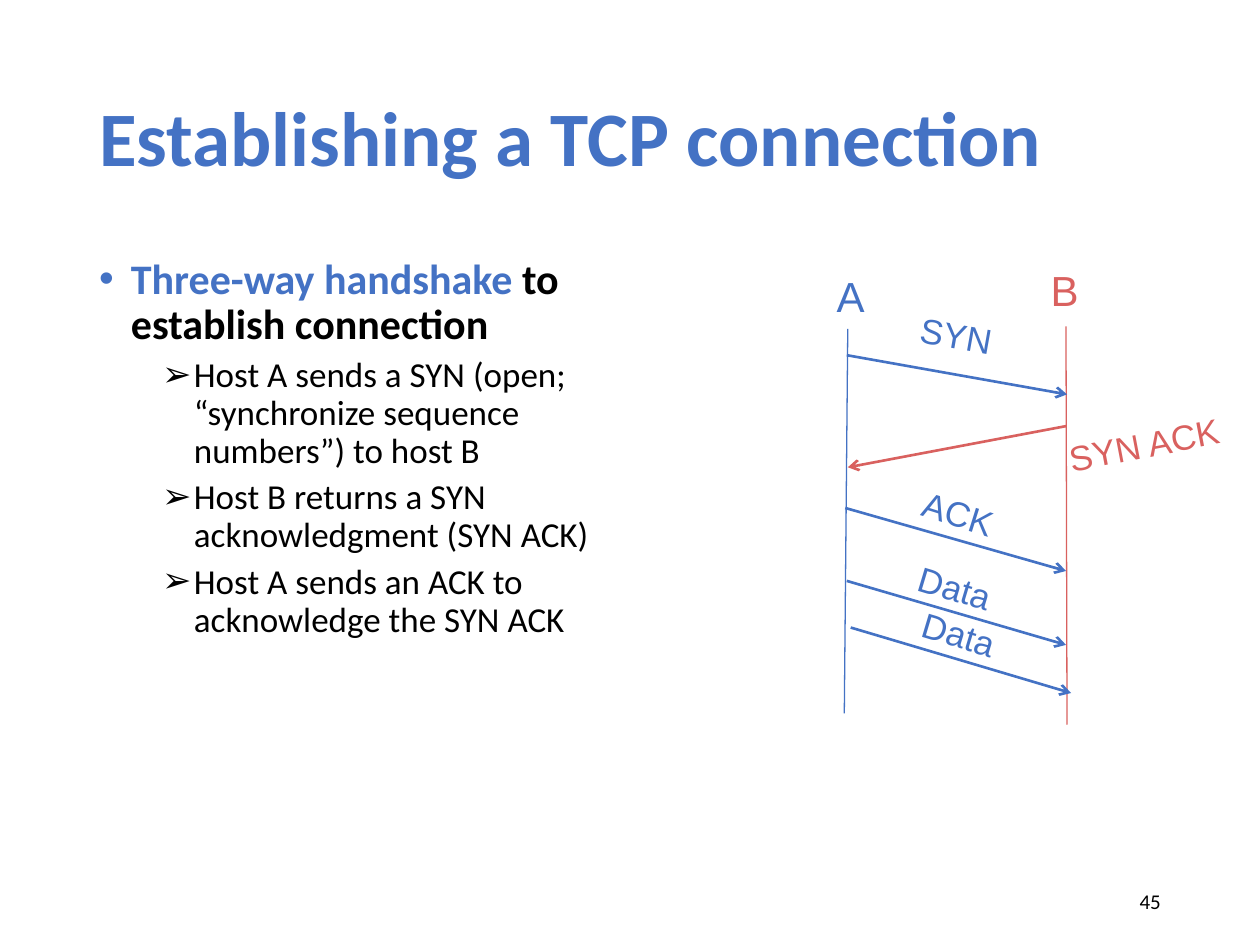
from dataclasses import dataclass

from lxml.etree import SubElement
from pptx import Presentation
from pptx.dml.color import RGBColor
from pptx.enum.shapes import MSO_CONNECTOR
from pptx.enum.text import MSO_ANCHOR, MSO_AUTO_SIZE, PP_ALIGN
from pptx.oxml.ns import qn
from pptx.util import Cm, Pt


@dataclass(frozen=True)
class Theme:
    blue: RGBColor = RGBColor(0x44, 0x72, 0xC4)
    red: RGBColor = RGBColor(0xD9, 0x61, 0x5F)
    black: RGBColor = RGBColor(0, 0, 0)
    body_font: str = "Calibri"
    diagram_font: str = "Arial"
    title_size: int = 44
    lead_size: int = 24
    step_size: int = 20
    host_size: int = 24
    message_size: int = 20
    number_size: int = 12


theme = Theme()


def add_run(paragraph, text, font, size, color, bold=False):
    run = paragraph.add_run()
    run.text = text
    run.font.name = font
    run.font.size = Pt(size)
    run.font.bold = bold
    run.font.color.rgb = color


def add_line(start, end, color, width, arrow=False):
    line = slide.shapes.add_connector(
        MSO_CONNECTOR.STRAIGHT, *(Cm(value) for value in start + end))
    line.line.color.rgb = color
    line.line.width = Pt(width)
    if arrow:
        SubElement(line.line._get_or_add_ln(), qn("a:tailEnd"), type="arrow")
    SubElement(line._element.spPr, qn("a:effectLst"))


presentation = Presentation()
presentation.slide_width = Cm(25.4)
presentation.slide_height = Cm(19.05)
slide = presentation.slides.add_slide(presentation.slide_layouts[5])

# Title
title = slide.shapes.title
title.left, title.top, title.width, title.height = Cm(1.75), Cm(1.02), Cm(21.9), Cm(3.68)
title.text_frame.auto_size = MSO_AUTO_SIZE.NONE
title.text_frame.vertical_anchor = MSO_ANCHOR.MIDDLE
heading = title.text_frame.paragraphs[0]
heading.alignment = PP_ALIGN.LEFT
heading.line_spacing = 0.9
add_run(heading, "Establishing a TCP connection", theme.body_font,
        theme.title_size, theme.blue, bold=True)

# Handshake steps: level, bullet, indent in cm, runs
steps = [
    "Host A sends a SYN (open; “synchronize sequence numbers”) to host B",
    "Host B returns a SYN acknowledgment (SYN ACK)",
    "Host A sends an ACK to acknowledge the SYN ACK",
]
outline = [(0, "•", 0.64, [
    ("Three-way handshake", theme.lead_size, theme.blue, True),
    (" to establish connection", theme.lead_size, theme.black, True)])]
outline += [(1, "➢", 1.91, [(step, theme.step_size, theme.black, False)])
            for step in steps]

explanation = slide.shapes.add_textbox(Cm(1.75), Cm(5.08), Cm(10.8), Cm(12.09)).text_frame
explanation.word_wrap = True
for index, (level, bullet, indent, runs) in enumerate(outline):
    point = explanation.paragraphs[0] if index == 0 else explanation.add_paragraph()
    properties = point._p.get_or_add_pPr()
    properties.set("marL", str(Cm(indent)))
    properties.set("indent", str(-Cm(0.64)))
    SubElement(properties, qn("a:buFont"), typeface=theme.diagram_font)
    SubElement(properties, qn("a:buChar"), char=bullet)
    point.level = level
    point.line_spacing = 0.9
    point.space_before = Pt(5 if index else 0)
    for text, size, color, bold in runs:
        add_run(point, text, theme.body_font, size, color, bold)

# Host timelines
add_line((17.09, 6.63), (17.02, 14.38), theme.blue, 0.75)
add_line((21.49, 6.58), (21.51, 14.61), theme.red, 0.75)

# Messages: text, arrow start, arrow end, label centre, label angle, colour
messages = [
    ("SYN", (17.07, 7.16), (21.51, 7.95), (19.28, 6.76), 10.1, theme.blue),
    ("SYN ACK", (21.49, 8.59), (17.09, 9.42), (23.06, 8.95), -10.9, theme.red),
    ("ACK", (17.04, 10.24), (21.49, 11.51), (19.32, 10.35), 17.4, theme.blue),
    ("Data", (17.07, 11.71), (21.49, 13), (19.25, 11.84), 16.7, theme.blue),
    ("Data", (17.15, 12.65), (21.59, 13.97), (19.33, 12.78), 16.7, theme.blue),
]
for text, start, end, centre, angle, color in messages:
    add_line(start, end, color, 1.5, arrow=True)

# Host and message labels, placed by their centres
labels = [("A", (17.15, 5.97), 0, theme.blue, theme.host_size),
          ("B", (21.46, 5.84), 0, theme.red, theme.host_size)]
labels += [(text, centre, angle, color, theme.message_size)
           for text, start, end, centre, angle, color in messages]
for text, (x, y), angle, color, size in labels:
    width = {"A": 1.1, "B": 1.1, "SYN ACK": 3.63}.get(text, 2)
    height = 1.27 if size == theme.host_size else 1.1
    label = slide.shapes.add_textbox(
        Cm(x - width / 2), Cm(y - height / 2), Cm(width), Cm(height))
    label.rotation = angle
    label.text_frame.word_wrap = False
    label.text_frame.vertical_anchor = MSO_ANCHOR.MIDDLE
    caption = label.text_frame.paragraphs[0]
    caption.alignment = PP_ALIGN.CENTER
    add_run(caption, text, theme.diagram_font, size, color)

# Slide number
footer = slide.shapes.add_textbox(Cm(17.93), Cm(17.65), Cm(5.72), Cm(1.02)).text_frame
footer.word_wrap = True
footer.vertical_anchor = MSO_ANCHOR.MIDDLE
number = footer.paragraphs[0]
number.alignment = PP_ALIGN.RIGHT
add_run(number, "45", theme.body_font, theme.number_size, theme.black)

presentation.save("out.pptx")
